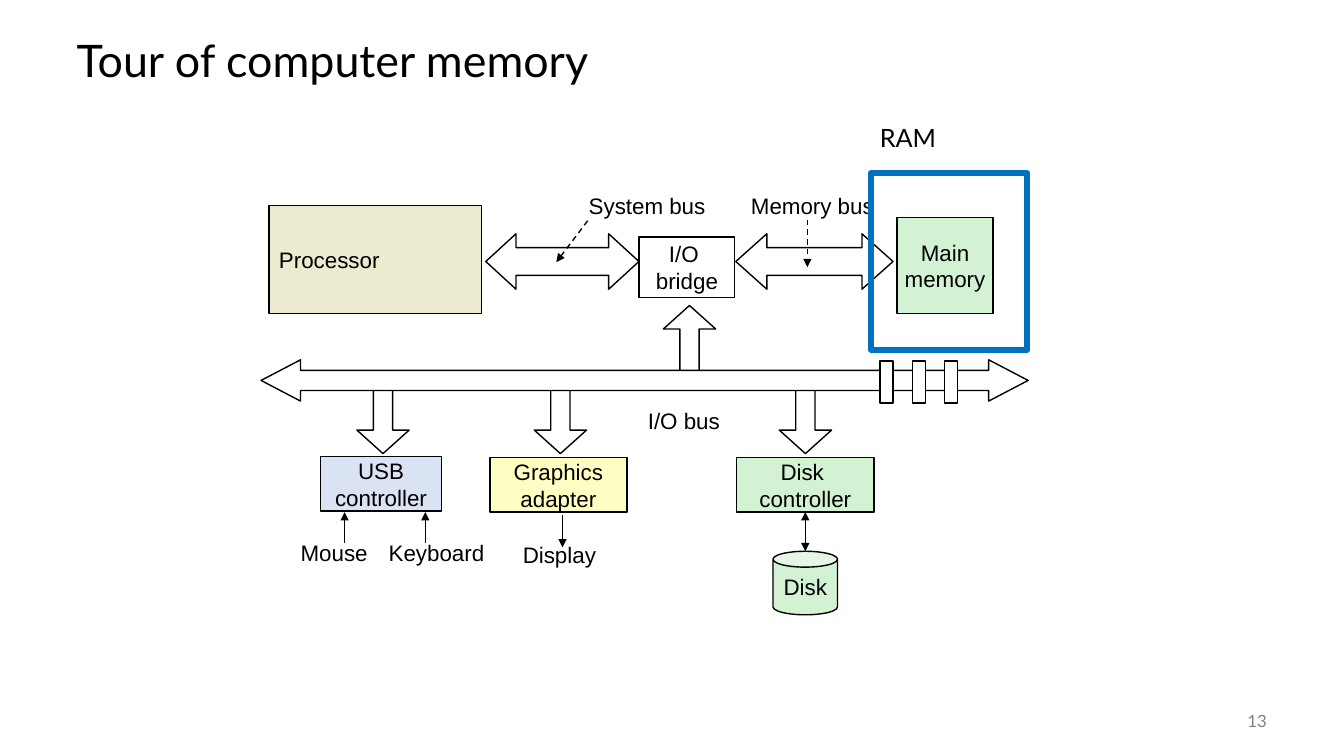
"""Build a slide that tours computer memory with a bus diagram."""
from lxml import etree
from pptx import Presentation
from pptx.dml.color import RGBColor
from pptx.enum.dml import MSO_LINE
from pptx.enum.shapes import MSO_CONNECTOR, MSO_SHAPE
from pptx.enum.text import MSO_ANCHOR, PP_ALIGN
from pptx.oxml.ns import qn
from pptx.util import Pt

RECTANGLE, CAN = MSO_SHAPE.RECTANGLE, MSO_SHAPE.CAN
TWO_WAY, UP, DOWN = MSO_SHAPE.LEFT_RIGHT_ARROW, MSO_SHAPE.UP_ARROW, MSO_SHAPE.DOWN_ARROW
STRAIGHT, DASH = MSO_CONNECTOR.STRAIGHT, MSO_LINE.DASH
MIDDLE, TOP = MSO_ANCHOR.MIDDLE, MSO_ANCHOR.TOP
LEFT, CENTER, RIGHT = PP_ALIGN.LEFT, PP_ALIGN.CENTER, PP_ALIGN.RIGHT
BOTTOM_SITE = 2

BLACK = RGBColor(0x00, 0x00, 0x00)
WHITE = RGBColor(0xFF, 0xFF, 0xFF)
GRAY = RGBColor(0x80, 0x80, 0x80)
GREEN = RGBColor(0xD3, 0xF2, 0xD3)
BEIGE = RGBColor(0xED, 0xEB, 0xCF)
YELLOW = RGBColor(0xFF, 0xFF, 0xC3)
PALE_BLUE = RGBColor(0xDA, 0xE3, 0xF3)
BLUE = RGBColor(0x00, 0x70, 0xC0)

TITLE = "Tour of computer memory"
PARTS = [
    (["Main", "memory"], RECTANGLE, (640.8, 155.5, 68.4, 68.4), GREEN, CENTER),
    (["I/O ", "bridge"], RECTANGLE, (456.5, 169.2, 68.4, 43.2), None, CENTER),
    (["Processor"], RECTANGLE, (192.2, 146.9, 151.9, 77), BEIGE, LEFT),
    (["Disk ", "controller"], RECTANGLE, (526.3, 326.9, 97.9, 38.9), GREEN, CENTER),
    (["Graphics", "adapter"], RECTANGLE, (349.9, 326.9, 97.9, 38.9), YELLOW, CENTER),
    (["USB", "controller"], RECTANGLE, (229, 326.2, 86.4, 38.9), PALE_BLUE, CENTER),
    (["Disk"], CAN, (552.2, 393.8, 46.1, 45.4), GREEN, CENTER),
]
BUS_ARROWS = [
    ((347, 167, 109.4, 39.6), (0.5, 0.545)),
    ((525.6, 167, 112.3, 39.6), (0.5, 0.56)),
]
BRANCHES = [(UP, 492.5, 218.2)] + [(DOWN, x, 272.9) for x in (273.6, 400.3, 575.3)]
BRANCH_SIZE = (37.4, 51.1)
IO_BUS = (186.5, 257, 547.9, 29.5)
SLOT_COUNT, SLOT_STEP = 3, 23.04
FIRST_SLOT = (628.6, 257.8, 9.4, 30.2)
LABELS = [
    ("System bus", 462.2, 146.5, 99.4),
    ("Memory bus", 580.3, 146.5, 103.7),
    ("I/O bus", 488.5, 300.6, 67),
    ("Mouse", 238.7, 394.9, 62.6),
    ("Keyboard", 311.8, 394.9, 83.5),
    ("Display", 399.6, 396.4, 67.7),
]
LABEL_HEIGHT = 26.6
POINTERS = [
    ((419.8, 157.7), (397.4, 187.2), True),
    ((576.7, 157), (576.7, 190.8), True),
    ((246.2, 388.1), (246.2, 365.8), False),
    ((303.8, 388.1), (303.8, 365.8), False),
    ((401.8, 367.9), (401.8, 391), False),
]
DISK_TOP = (575.25, 393.8)
RAM_FRAME = (622.1, 123.8, 111.6, 126)
RAM_LABEL = (621.4, 84.2, 111.6, 28.8)


def points(values):
    return [Pt(value) for value in values]


def write(shape, lines, size=16, font="Arial", color=BLACK, align=CENTER, anchor=MIDDLE, wrap=False):
    frame = shape.text_frame
    frame.word_wrap = wrap
    frame.vertical_anchor = anchor
    for index, line in enumerate(lines):
        paragraph = frame.add_paragraph() if index else frame.paragraphs[0]
        paragraph.alignment = align
        run = paragraph.add_run()
        run.text = line
        run.font.size = Pt(size)
        run.font.name = font
        run.font.color.rgb = color


def add_part(slide, kind, box, fill=None, adjustments=(), line=BLACK, width=1):
    shape = slide.shapes.add_shape(kind, *points(box))
    shape.shadow.inherit = False
    if fill is None:
        shape.fill.background()
    else:
        shape.fill.solid()
        shape.fill.fore_color.rgb = fill
    shape.line.color.rgb = line
    shape.line.width = Pt(width)
    for index, value in enumerate(adjustments):
        shape.adjustments[index] = value
    return shape


def add_text(slide, box, text, **style):
    write(slide.shapes.add_textbox(*points(box)), [text], **style)


def add_pointer(slide, start, end, dashed=False, ends=("tailEnd",)):
    connector = slide.shapes.add_connector(STRAIGHT, *points(start + end))
    connector.line.color.rgb = BLACK
    connector.line.width = Pt(1)
    if dashed:
        connector.line.dash_style = DASH
    outline = connector.line._get_or_add_ln()
    for end_name in ends:
        etree.SubElement(outline, qn("a:" + end_name), type="triangle")
    etree.SubElement(connector._element.spPr, qn("a:effectLst"))
    return connector


def main():
    presentation = Presentation()
    presentation.slide_width, presentation.slide_height = Pt(960), Pt(540)
    slide = presentation.slides.add_slide(presentation.slide_layouts[5])

    title = slide.shapes.title
    title.left, title.top, title.width, title.height = points((47.5, 18, 864, 54))
    write(title, [TITLE], size=32, font="Lato", align=LEFT, wrap=True)
    title.text_frame.paragraphs[0].line_spacing = 0.9
    add_text(slide, (840, 500.4, 72, 28.8), "13", size=12, font="Lato",
             color=GRAY, align=RIGHT, wrap=True)

    parts = {}
    for lines, kind, box, fill, align in PARTS:
        part = add_part(slide, kind, box, fill)
        write(part, lines, align=align)
        parts["".join(lines)] = part

    for box, adjustments in BUS_ARROWS:
        add_part(slide, TWO_WAY, box, adjustments=adjustments)
    for kind, center, top in BRANCHES:
        box = (center - BRANCH_SIZE[0] / 2, top, *BRANCH_SIZE)
        add_part(slide, kind, box, adjustments=(0.367, 0.449))
    add_part(slide, TWO_WAY, IO_BUS, WHITE, (0.486, 0.955))
    left, *slot_rest = FIRST_SLOT
    for index in range(SLOT_COUNT):
        add_part(slide, RECTANGLE, (left + index * SLOT_STEP, *slot_rest), WHITE)

    for text, center, middle, width in LABELS:
        box = (center - width / 2, middle - LABEL_HEIGHT / 2, width, LABEL_HEIGHT)
        add_text(slide, box, text)
    for start, end, dashed in POINTERS:
        add_pointer(slide, start, end, dashed)
    disk_link = add_pointer(slide, (575.25, 365.8), DISK_TOP, ends=("headEnd", "tailEnd"))
    disk_link.begin_connect(parts["Disk controller"], BOTTOM_SITE)

    add_part(slide, RECTANGLE, RAM_FRAME, line=BLUE, width=4.5)
    add_text(slide, RAM_LABEL, "RAM", size=18, font="Lato", align=LEFT, anchor=TOP, wrap=True)
    presentation.save("out.pptx")


if __name__ == "__main__":
    main()
